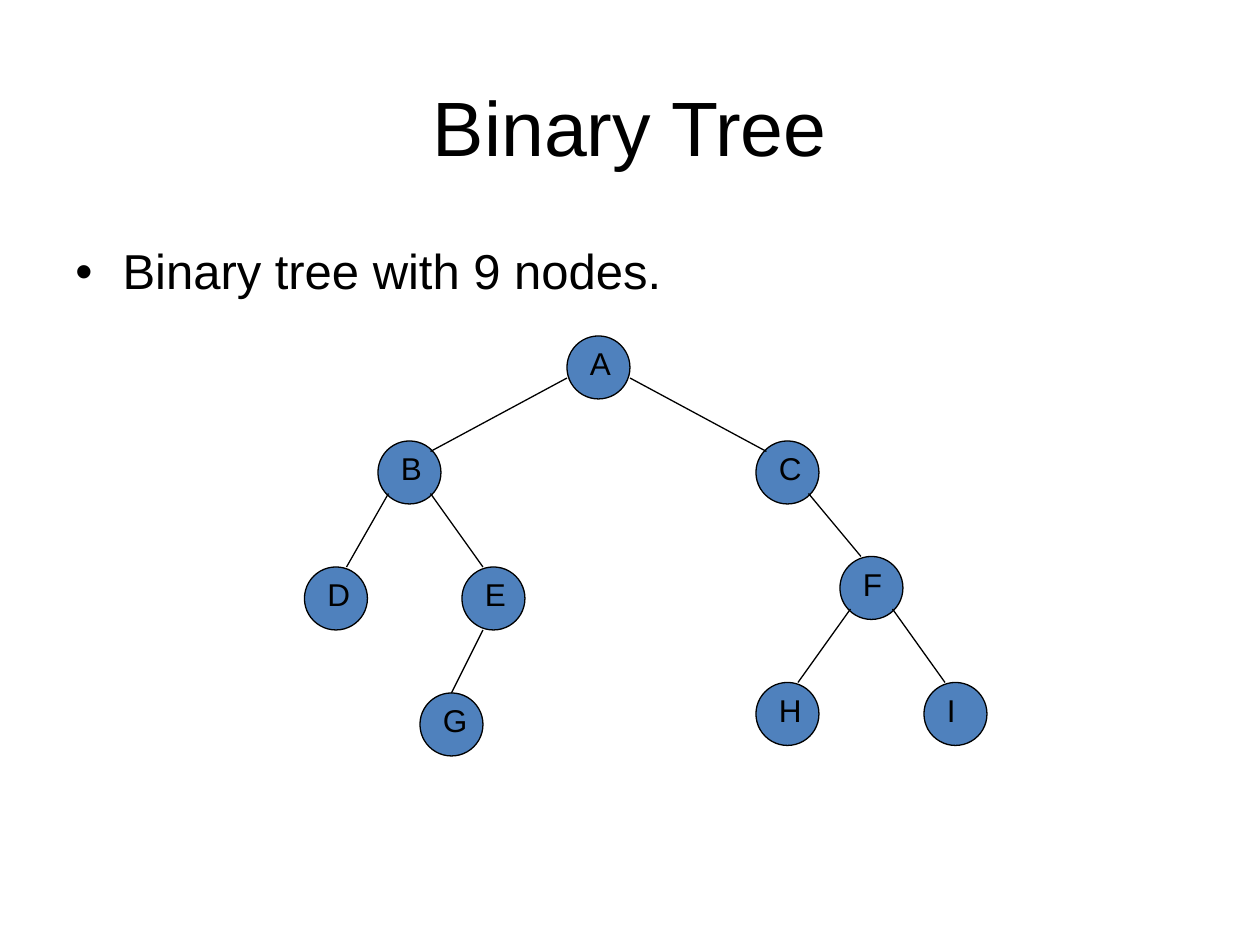
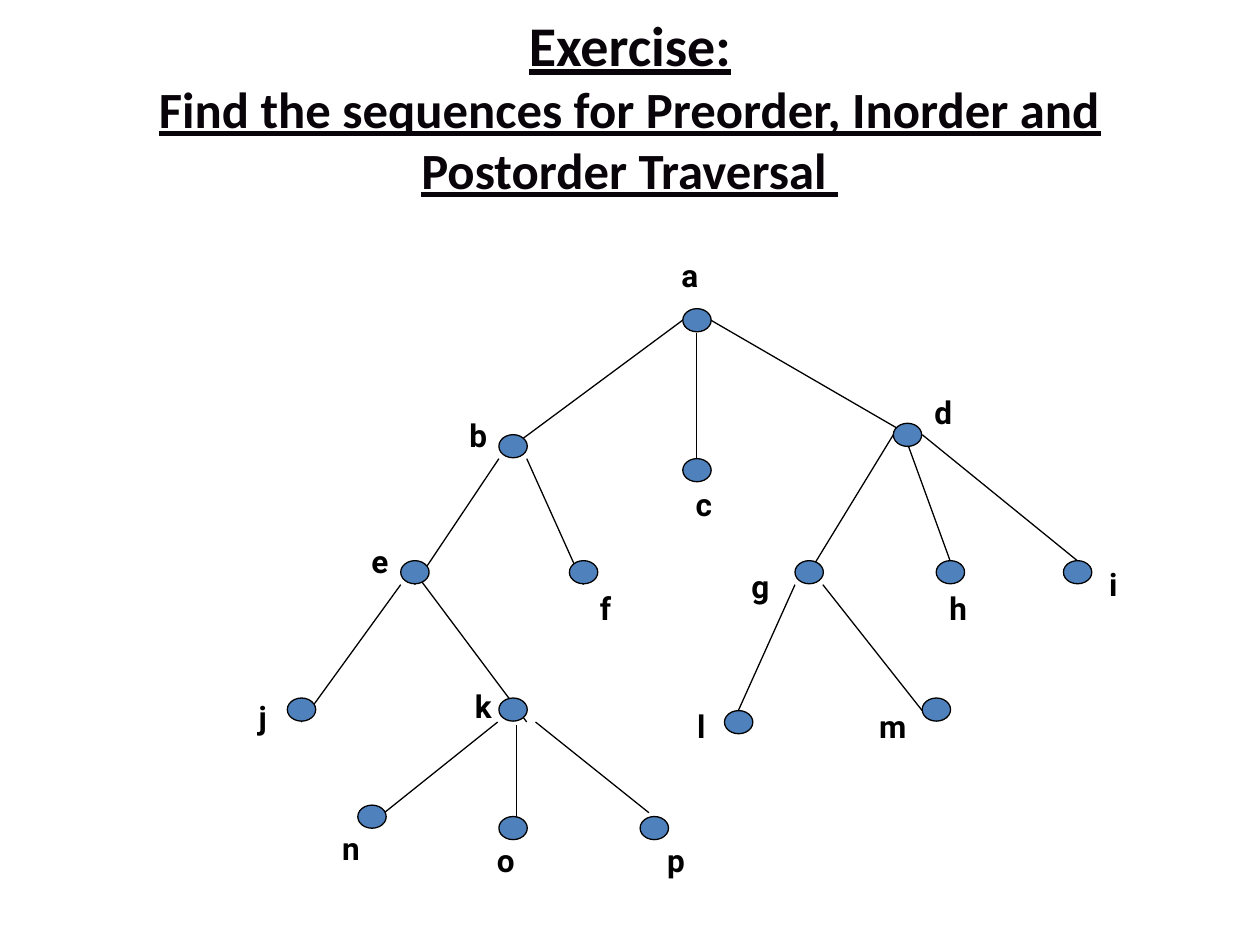
from lxml import etree
from pptx import Presentation
from pptx.dml.color import RGBColor
from pptx.enum.shapes import MSO_CONNECTOR, MSO_SHAPE
from pptx.enum.text import MSO_ANCHOR, MSO_AUTO_SIZE, PP_ALIGN
from pptx.oxml.ns import qn
from pptx.util import Pt

STRAIGHT = MSO_CONNECTOR.STRAIGHT
ELLIPSE = MSO_SHAPE.OVAL
TOP, MIDDLE = MSO_ANCHOR.TOP, MSO_ANCHOR.MIDDLE
LEFT, CENTER = PP_ALIGN.LEFT, PP_ALIGN.CENTER
NO_AUTOFIT = MSO_AUTO_SIZE.NONE

BLACK = "000000"
HEADING = "090409"
NODE_BLUE = "4F81BD"
LINE_WIDTH = 0.75
MARGIN, CONTENT_WIDTH = 36, 648

BINARY_NODE = 36
BINARY_NODES = {
    "A": (324, 192),
    "B": (216, 252), "C": (432, 252),
    "D": (174, 324), "E": (264, 324), "F": (480, 318),
    "G": (240, 396), "H": (432, 390), "I": (528, 390),
}
WIDE_LABELS = "DGI"
BINARY_EDGES = [
    (324, 216, 246, 258), (360, 216, 438, 258),
    (222, 282, 198, 324), (246, 282, 276, 324),
    (276, 360, 258, 396), (462, 282, 492, 318),
    (486, 348, 456, 390), (510, 348, 540, 390),
]

EXERCISE_NODE = (16.2, 13.2)
EXERCISE_LABEL = (72.7, 26.3)
TALL_LABELS = {"i": 39.6}
EXERCISE_NODES = {
    "a": (390.2, 176.4, 357.8, 144),
    "b": (285.1, 248.4, 236.9, 235.4),
    "c": (390.2, 262.1, 365.8, 275),
    "d": (510.5, 241.9, 502.6, 222.5),
    "e": (229, 320.4, 180.7, 307.4),
    "f": (325.4, 320.4, 309.6, 334.1),
    "g": (454.3, 320.4, 398.2, 321.8),
    "h": (535, 320.4, 511.2, 334.1),
    "i": (607.7, 320.4, 599.8, 313.9),
    "j": (164.2, 398.9, 113.8, 396.7),
    "k": (285.1, 398.9, 239.8, 390.2),
    "l": (414, 406.1, 364.3, 401.8),
    "m": (527, 398.9, 473.8, 401.8),
    "n": (204.5, 460.1, 164.2, 471.6),
    "o": (285.1, 466.6, 252.7, 478.1),
    "p": (365.8, 466.6, 349.9, 478.1),
}
EXERCISE_EDGES = [
    (390.2, 182.9, 293, 254.9), (398.2, 190.1, 398.2, 262.1),
    (406.1, 182.9, 519.1, 248.4),
    (285.1, 262.1, 236.9, 334.1), (301, 262.1, 333.4, 334.1),
    (510.5, 248.4, 463, 326.2), (519.1, 254.9, 542.9, 320.4),
    (527, 248.4, 615.6, 320.4),
    (229, 334.1, 172.1, 412.6), (236.9, 326.9, 301, 412.6),
    (454.3, 334.1, 421.9, 406.1), (470.2, 334.1, 527, 406.1),
    (284.4, 412.6, 219.6, 464.4), (295.2, 414, 295.2, 466.6),
    (306, 412.6, 370.8, 464.4),
]


def color(hex_string):
    return RGBColor.from_string(hex_string)


def add_text_area(slide, left, top, width, height, align=LEFT, anchor=TOP, wrap=True):
    area = slide.shapes.add_textbox(Pt(left), Pt(top), Pt(width), Pt(height))
    frame = area.text_frame
    frame.word_wrap = wrap
    frame.auto_size = NO_AUTOFIT
    frame.vertical_anchor = anchor
    paragraph = frame.paragraphs[0]
    paragraph.alignment = align
    return paragraph


def add_run(paragraph, text, size, font="Arial", ink=BLACK, bold=False, underline=False):
    run = paragraph.add_run()
    run.text = text
    run.font.size = Pt(size)
    run.font.name = font
    run.font.bold = bold
    run.font.underline = underline
    run.font.color.rgb = color(ink)


def add_title(slide, height):
    return add_text_area(slide, MARGIN, 36, CONTENT_WIDTH, height, CENTER, MIDDLE)


def add_bullet(slide, text):
    paragraph = add_text_area(slide, MARGIN, 138, CONTENT_WIDTH, 42)
    paragraph.line_spacing = 0.9
    paragraph.space_before = Pt(7)
    properties = paragraph._p.get_or_add_pPr()
    properties.set("marL", str(Pt(27)))
    properties.set("indent", str(Pt(-27)))
    etree.SubElement(properties, qn("a:buFont"), typeface="Arial")
    etree.SubElement(properties, qn("a:buChar"), char="•")
    add_run(paragraph, text, 28)


def add_node(slide, left, top, width, height):
    node = slide.shapes.add_shape(ELLIPSE, Pt(left), Pt(top), Pt(width), Pt(height))
    node.shadow.inherit = False
    node.fill.solid()
    node.fill.fore_color.rgb = color(NODE_BLUE)
    node.line.color.rgb = color(BLACK)
    node.line.width = Pt(LINE_WIDTH)


def add_edges(slide, edges):
    for ends in edges:
        edge = slide.shapes.add_connector(STRAIGHT, *map(Pt, ends))
        edge.line.color.rgb = color(BLACK)
        edge.line.width = Pt(LINE_WIDTH)
        etree.SubElement(edge._element.spPr, qn("a:effectLst"))


def build_binary_tree(slide):
    add_run(add_title(slide, 72), "Binary Tree", 44)
    add_bullet(slide, "Binary tree with 9 nodes.")
    for name, (left, top) in BINARY_NODES.items():
        add_node(slide, left, top, BINARY_NODE, BINARY_NODE)
        label_width = 30 if name in WIDE_LABELS else 24
        add_run(add_text_area(slide, left + 6, top + 1.2, label_width, 28.8), name, 18)
    add_edges(slide, BINARY_EDGES)


def build_exercise(slide):
    title = add_title(slide, 48)
    heading = {"font": "Calibri", "ink": HEADING, "bold": True, "underline": True}
    add_run(title, "Exercise:", 32, **heading)
    title.add_line_break()
    add_run(title, "Find the sequences for Preorder, Inorder and Postorder Traversal ", 29, **heading)
    add_edges(slide, EXERCISE_EDGES)
    label_width, label_height = EXERCISE_LABEL
    for name, (left, top, label_left, label_top) in EXERCISE_NODES.items():
        add_node(slide, left, top, *EXERCISE_NODE)
        height = TALL_LABELS.get(name, label_height)
        label = add_text_area(slide, label_left, label_top, label_width, height, CENTER, MIDDLE, False)
        add_run(label, name, 18, font="Roboto", bold=True)


def main():
    deck = Presentation()
    deck.slide_width, deck.slide_height = Pt(720), Pt(540)
    blank = deck.slide_layouts[6]
    for build in (build_binary_tree, build_exercise):
        build(deck.slides.add_slide(blank))
    deck.save("out.pptx")


if __name__ == "__main__":
    main()
